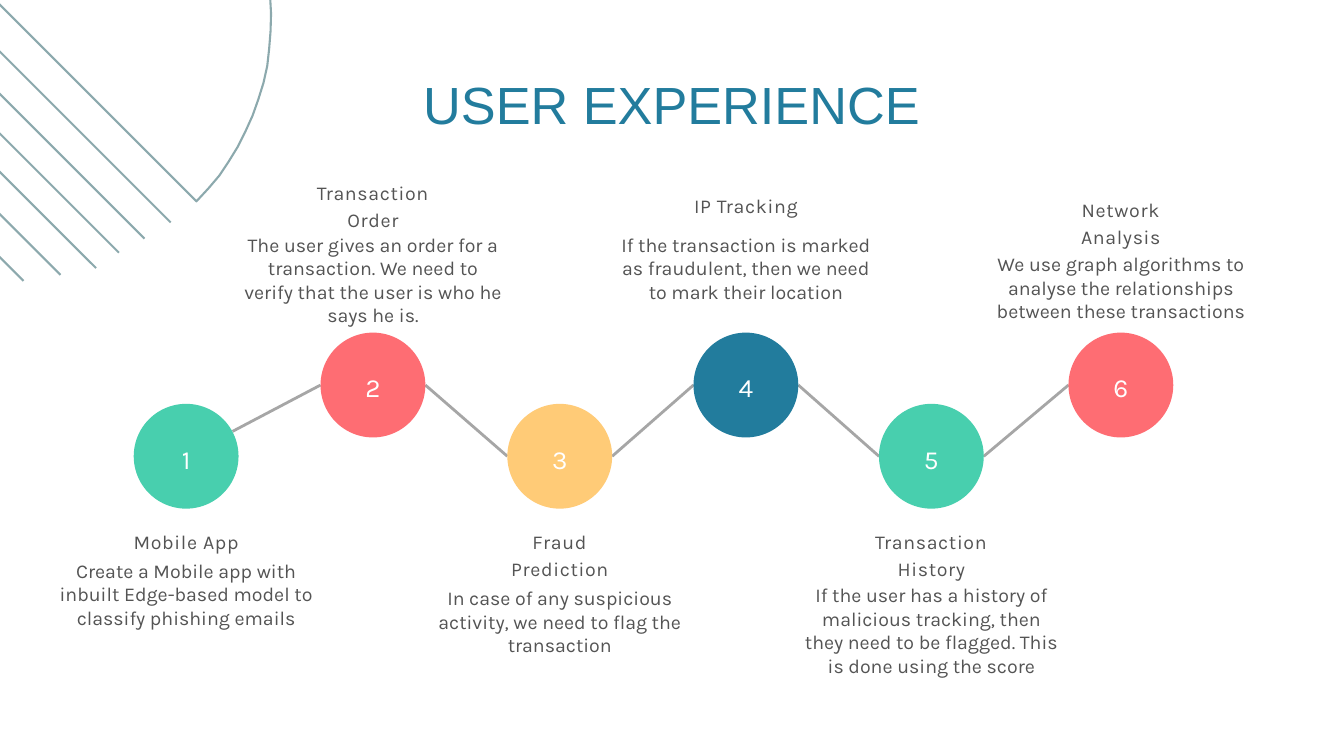
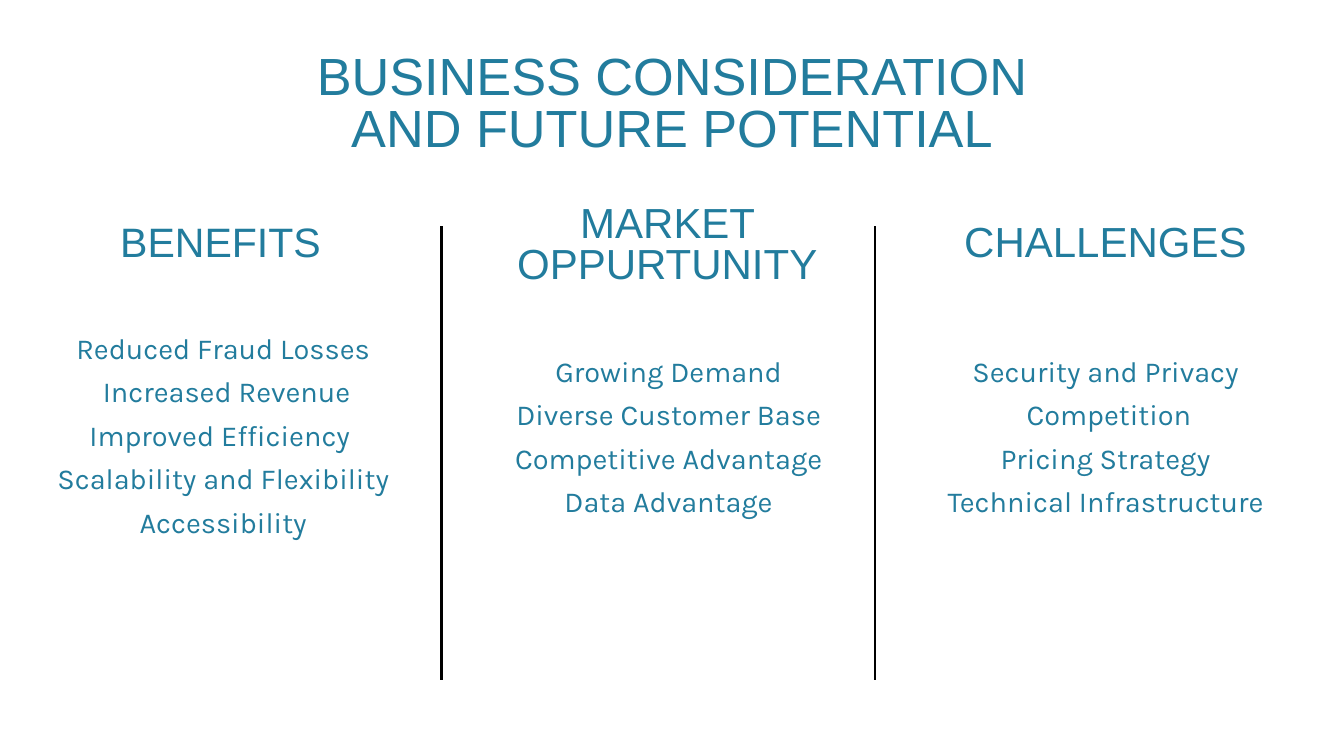
from dataclasses import dataclass
from math import cos, pi, sin

from lxml.etree import SubElement
from pptx import Presentation
from pptx.dml.color import RGBColor
from pptx.enum.shapes import MSO_CONNECTOR as Line, MSO_SHAPE as Shape
from pptx.enum.text import MSO_ANCHOR as Anchor, MSO_AUTO_SIZE as AutoSize, PP_ALIGN as Align
from pptx.oxml.ns import qn
from pptx.util import Emu, Pt

PX = 9144
TITLE_ONLY = 5

BLUE = RGBColor(0x22, 0x7C, 0x9D)
GREEN = RGBColor(0x48, 0xCF, 0xAE)
RED = RGBColor(0xFE, 0x6D, 0x73)
YELLOW = RGBColor(0xFF, 0xCB, 0x77)
GREY = RGBColor(0x54, 0x54, 0x54)
LINK_GREY = RGBColor(0xA6, 0xA6, 0xA6)
FAN_GREY = RGBColor(0x8C, 0xA9, 0xAD)
BLACK = RGBColor(0x00, 0x00, 0x00)
WHITE = RGBColor(0xFF, 0xFF, 0xFF)


@dataclass
class Style:
    font: str
    size: float
    color: RGBColor
    leading: float
    tracking: float = 0


@dataclass
class Stage:
    left: int
    top: int
    color: RGBColor
    heading: str
    heading_top: int
    heading_lines: int
    body: str
    body_top: int
    body_lines: int


@dataclass
class Column:
    heading: str
    heading_box: tuple
    size: int
    leading: float
    items: list
    items_box: tuple


TITLE = Style("Arial", 56, BLUE, 55.4)
HEADING = Style("Karla", 21, GREY, 29.4, 0.7)
BODY = Style("Karla", 21, GREY, 25.2)
NUMBER = Style("Karla", 28, WHITE, 44.8, 3.4)
ITEM = Style("Karla", 31, BLUE, 46.5)

CIRCLE = 156
HEADING_WIDTH = 223
BODY_WIDTH = 385

STAGES = [
    Stage(199, 601, GREEN, "Mobile App", 782, 1,
          "Create a Mobile app with inbuilt Edge-based model to classify phishing emails",
          831, 3),
    Stage(477, 495, RED, "Transaction Order", 263, 2,
          "The user gives an order for a transaction. We need to verify that the user "
          "is who he says he is.", 346, 4),
    Stage(755, 601, YELLOW, "Fraud Prediction", 782, 2,
          "In case of any suspicious activity, we need to flag the transaction", 872, 3),
    Stage(1032, 495, BLUE, "IP Tracking", 283, 1,
          "If the transaction is marked as fraudulent, then we need to mark their location",
          346, 3),
    Stage(1308, 601, GREEN, "Transaction History", 782, 2,
          "If the user has a history of malicious tracking, then they need to be flagged. "
          "This is done using the score", 868, 4),
    Stage(1590, 495, RED, "Network Analysis", 288, 2,
          "We use graph algorithms to analyse the relationships between these transactions",
          375, 3),
]

COLUMNS = [
    Column("BENEFITS", (0, 335, 657, 65), 44, 43.6,
           ["Reduced Fraud Losses", " Increased Revenue", "Improved Efficiency ",
            "Scalability and Flexibility ", "Accessibility"], (82, 479, 500, 320)),
    Column("MARKET OPPURTUNITY", (657, 305, 672, 127), 45, 44.5,
           ["Growing Demand ", "Diverse Customer Base ", "Competitive Advantage ",
            "Data Advantage "], (758, 513, 484, 252)),
    Column("CHALLENGES", (1302, 334, 686, 66), 45, 44.5,
           [" Security and Privacy ", " Competition", "Pricing Strategy",
            "Technical Infrastructure"], (1408, 513, 474, 252)),
]


def px(*lengths):
    return [Emu(round(length * PX)) for length in lengths]


def write(shape, lines, style, anchor=Anchor.TOP, bottom=0):
    frame = shape.text_frame
    frame.word_wrap = True
    frame.auto_size = AutoSize.NONE
    frame.vertical_anchor = anchor
    frame.margin_left = frame.margin_right = frame.margin_top = 0
    frame.margin_bottom = px(bottom)[0]
    frame.text = "\n".join(lines)
    for para in frame.paragraphs:
        para.alignment = Align.CENTER
        para.line_spacing = Pt(style.leading)
        para.space_before = Pt(0)
        para.font.name = style.font
        para.font.size = Pt(style.size)
        para.font.color.rgb = style.color
        if style.tracking:
            defaults = para._p.pPr.find(qn("a:defRPr"))
            defaults.set("spc", str(round(style.tracking * 100)))


def add_text(page, box, lines, style):
    write(page.shapes.add_textbox(*px(*box)), lines, style)


def add_line(page, start, end, color, width):
    line = page.shapes.add_connector(Line.STRAIGHT, *px(*start, *end))
    line.line.color.rgb = color
    line.line.width = Pt(width)
    SubElement(line._element.spPr, qn("a:effectLst"))


def add_page(deck, title, box):
    page = deck.slides.add_slide(deck.slide_layouts[TITLE_ONLY])
    heading = page.shapes.title
    heading.left, heading.top, heading.width, heading.height = px(*box)
    write(heading, [title], TITLE)
    return page


def draw_fan(page, box):
    left, top, width, height = box
    points = [(left + width / 2 * (1 - cos(pi * step / 48)),
               top + height * (1 - sin(pi * step / 48))) for step in range(49)]
    builder = page.shapes.build_freeform(*points[0], scale=PX)
    builder.add_line_segments(points[1:], close=True)
    half = builder.convert_to_shape()
    half.rotation = 45
    half.shadow.inherit = False
    half.fill.background()
    half.line.color.rgb = FAN_GREY
    half.line.width = Pt(2.25)
    for x, y, run in [(254, 331, 564), (215, 355, 551), (177, 376, 533),
                      (143, 399, 513), (90, 409, 475), (35, 418, 434)]:
        add_line(page, (x - run, y - run), (x, y), FAN_GREY, 2.25)


def draw_links(page, stages):
    half = CIRCLE // 2
    starts = [(stage.left + CIRCLE, stage.top + half) for stage in stages]
    starts[0] = (346, 642)
    for start, stage in zip(starts, stages[1:]):
        add_line(page, start, (stage.left, stage.top + half), LINK_GREY, 3)


def draw_stage(page, number, stage):
    circle = page.shapes.add_shape(Shape.OVAL, *px(stage.left, stage.top, CIRCLE, CIRCLE))
    circle.shadow.inherit = False
    circle.fill.solid()
    circle.fill.fore_color.rgb = stage.color
    circle.line.fill.background()
    write(circle, [str(number)], NUMBER, Anchor.MIDDLE, bottom=8)
    middle = stage.left + CIRCLE / 2
    add_text(page, (middle - HEADING_WIDTH / 2, stage.heading_top,
                    HEADING_WIDTH, 40 * stage.heading_lines), [stage.heading], HEADING)
    add_text(page, (middle - BODY_WIDTH / 2, stage.body_top,
                    BODY_WIDTH, 35 * stage.body_lines), [stage.body], BODY)


def draw_column(page, column):
    style = Style("Arial", column.size, BLUE, column.leading)
    add_text(page, column.heading_box, [column.heading], style)
    add_text(page, column.items_box, column.items, ITEM)


def build_experience(deck):
    page = add_page(deck, "USER EXPERIENCE", (584, 124, 831, 81))
    draw_links(page, STAGES)
    draw_fan(page, (-262, -320, 811, 390))
    for number, stage in enumerate(STAGES, 1):
        draw_stage(page, number, stage)


def build_potential(deck):
    page = add_page(deck, "BUSINESS CONSIDERATION AND FUTURE POTENTIAL", (407, 81, 1187, 157))
    for x in (657, 1302):
        add_line(page, (x, 337), (x, 1012), BLACK, 3)
    for column in COLUMNS:
        draw_column(page, column)


def main():
    deck = Presentation()
    deck.slide_width, deck.slide_height = px(2000, 1125)
    build_experience(deck)
    build_potential(deck)
    deck.save("out.pptx")


if __name__ == "__main__":
    main()
